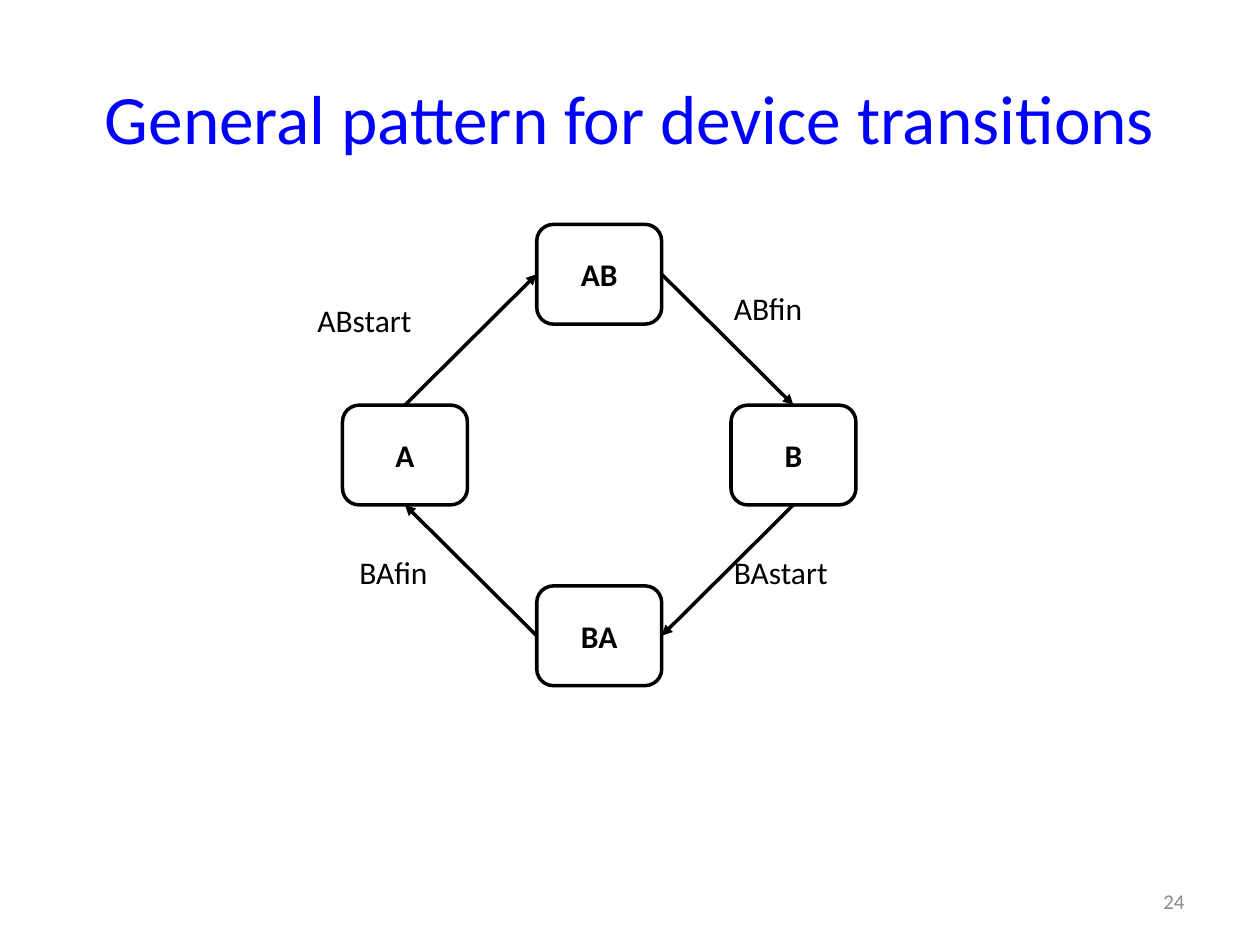
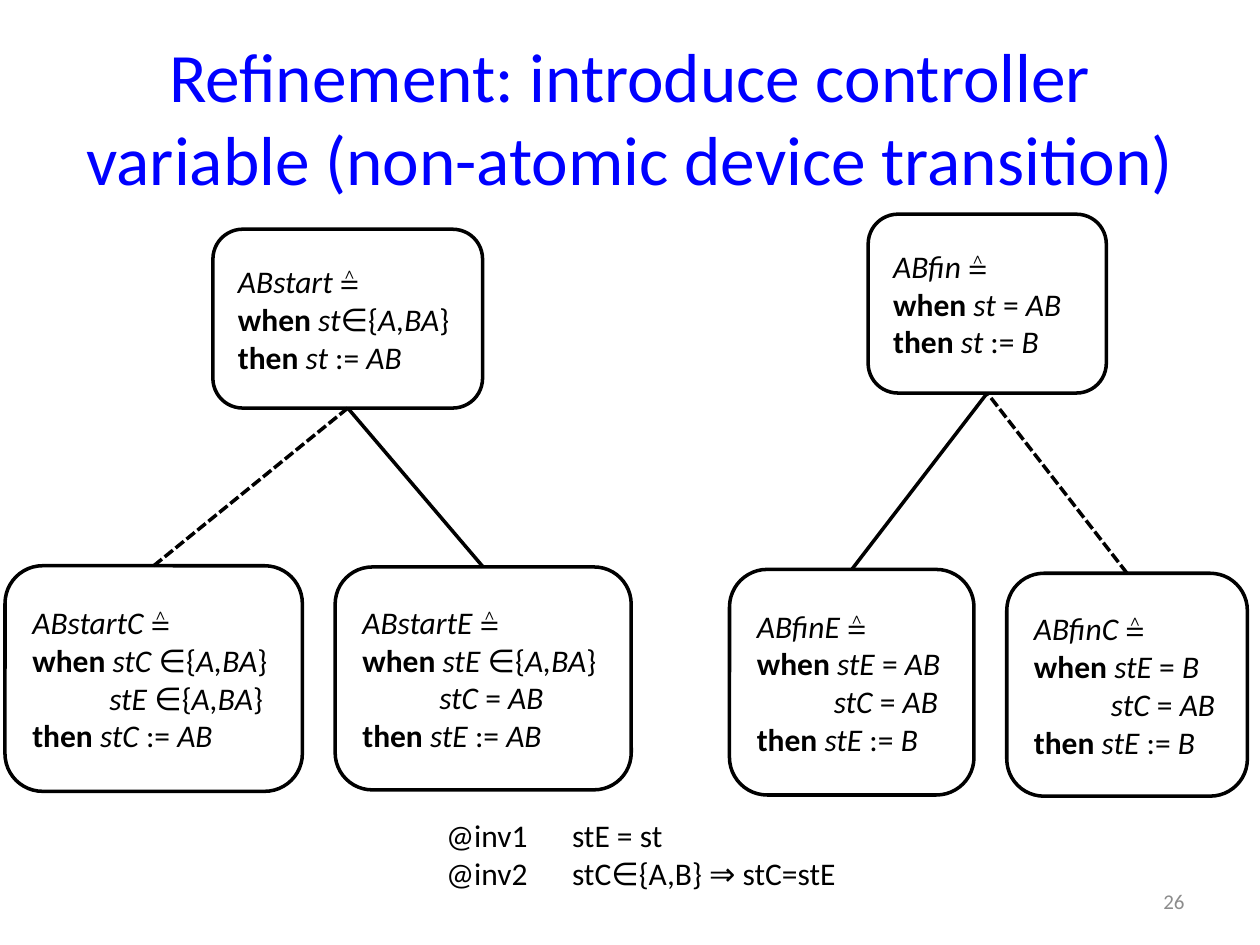
from dataclasses import dataclass
from itertools import groupby

from lxml import etree
from pptx import Presentation
from pptx.dml.color import RGBColor
from pptx.enum.dml import MSO_LINE
from pptx.enum.shapes import MSO_CONNECTOR, MSO_SHAPE
from pptx.enum.text import MSO_ANCHOR, PP_ALIGN
from pptx.oxml.ns import qn
from pptx.util import Pt

ROUNDED = MSO_SHAPE.ROUNDED_RECTANGLE
STRAIGHT = MSO_CONNECTOR.STRAIGHT
SHORT_DASH = MSO_LINE.SQUARE_DOT
LEFT, CENTER, RIGHT = PP_ALIGN.LEFT, PP_ALIGN.CENTER, PP_ALIGN.RIGHT
TOP, MIDDLE = MSO_ANCHOR.TOP, MSO_ANCHOR.MIDDLE

BLACK, WHITE, BLUE, GRAY = "000000", "FFFFFF", "0000FF", "8C8C8C"
FONT, SYMBOL_FONT = "Calibri", "Times New Roman"
BODY_SIZE, LINE_WIDTH = 18, 2
INSET_X, INSET_Y = 9.36, 5.04
CONDITION_INDENT = 44
KEYWORDS = ("when", "then")
SITE_TOP, SITE_LEFT, SITE_BOTTOM, SITE_RIGHT = range(4)


@dataclass(frozen=True)
class Area:
    left: float
    top: float
    width: float
    height: float

    def lengths(self) -> tuple:
        return Pt(self.left), Pt(self.top), Pt(self.width), Pt(self.height)


@dataclass(frozen=True)
class Label:
    text: str
    left: float
    top: float


@dataclass(frozen=True)
class Edge:
    start: str
    start_site: int
    end: str
    end_site: int
    arrow: bool = False
    dashed: bool = False


@dataclass(frozen=True)
class Event:
    name: str
    area: Area
    guards: tuple
    action: str


TITLE = Area(36, 21.6, 648, 90)
NUMBER = Area(516, 500.4, 168, 28.8)

# Slide 1: four states around a centre, clockwise from the left
CENTER_X, CENTER_Y = 342.4, 260
REACH_X, REACH_Y = 111, 103.3
STATE_WIDTH, STATE_HEIGHT = 71.4, 57
STATES = {"A": (-1, 0), "AB": (0, -1), "B": (1, 0), "BA": (0, 1)}
TRANSITIONS = (
    Edge("A", SITE_TOP, "AB", SITE_LEFT, arrow=True),
    Edge("AB", SITE_RIGHT, "B", SITE_TOP, arrow=True),
    Edge("B", SITE_BOTTOM, "BA", SITE_RIGHT, arrow=True),
    Edge("BA", SITE_LEFT, "A", SITE_BOTTOM, arrow=True),
)
TRANSITION_LABELS = (
    Label("ABstart", 172, 167),
    Label("BAfin", 196, 311),
    Label("ABfin", 410, 160),
    Label("BAstart", 410, 311),
)

# Slide 2: abstract events above the events that refine them
EVENTS = (
    Event("ABstart", Area(121.7, 131, 154.1, 102.2), ("st∈{A,BA}",), "st := AB"),
    Event("ABstartC", Area(2.9, 323.3, 169.9, 128.9),
          ("stC ∈{A,BA}", "stE ∈{A,BA}"), "stC := AB"),
    Event("ABstartE", Area(191.5, 324, 169.2, 127.4),
          ("stE ∈{A,BA}", "stC = AB"), "stE := AB"),
    Event("ABfin", Area(496.1, 122.4, 136.1, 102.2), ("st = AB",), "st := B"),
    Event("ABfinE", Area(416.9, 325.4, 139.7, 128.9),
          ("stE = AB", "stC = AB"), "stE := B"),
    Event("ABfinC", Area(575.3, 327.6, 137.5, 127.4),
          ("stE = B", "stC = AB"), "stE := B"),
)
REFINEMENTS = (
    Edge("ABstartC", SITE_TOP, "ABstart", SITE_BOTTOM, dashed=True),
    Edge("ABstart", SITE_BOTTOM, "ABstartE", SITE_TOP),
    Edge("ABfinC", SITE_TOP, "ABfin", SITE_BOTTOM, dashed=True),
    Edge("ABfin", SITE_BOTTOM, "ABfinE", SITE_TOP),
)
INVARIANTS = "@inv1\tstE = st\n@inv2\tstC∈{A,B} ⇒ stC=stE"
INVARIANTS_AREA = Area(245.5, 461.5, 250, 53.3)


def color(value: str) -> RGBColor:
    return RGBColor.from_string(value)


def style(font, size: float = BODY_SIZE, ink: str = BLACK, name: str = FONT) -> None:
    font.size, font.name = Pt(size), name
    font.color.rgb = color(ink)


def set_insets(text_frame) -> None:
    text_frame.margin_left = text_frame.margin_right = Pt(INSET_X)
    text_frame.margin_top = text_frame.margin_bottom = Pt(INSET_Y)


def add_text(slide, area: Area, text: str, size: float = BODY_SIZE,
             ink: str = BLACK, align=LEFT, anchor=TOP):
    text_frame = slide.shapes.add_textbox(*area.lengths()).text_frame
    text_frame.word_wrap = True
    text_frame.vertical_anchor = anchor
    text_frame.text = text
    for paragraph in text_frame.paragraphs:
        paragraph.alignment = align
        for run in paragraph.runs:
            style(run.font, size, ink)
    return text_frame


def add_slide(presentation, title: str, number: int):
    slide = presentation.slides.add_slide(presentation.slide_layouts[6])
    add_text(slide, TITLE, title, 39.6, BLUE, CENTER, MIDDLE)
    add_text(slide, NUMBER, str(number), 12, GRAY, RIGHT, MIDDLE)
    return slide


def add_box(slide, area: Area):
    shape = slide.shapes.add_shape(ROUNDED, *area.lengths())
    shape.shadow.inherit = False
    shape.fill.solid()
    shape.fill.fore_color.rgb = color(WHITE)
    shape.line.color.rgb = color(BLACK)
    shape.line.width = Pt(LINE_WIDTH)
    shape.text_frame.vertical_anchor = MIDDLE
    shape.text_frame.word_wrap = True
    set_insets(shape.text_frame)
    return shape


def add_edge(slide, boxes: dict, edge: Edge) -> None:
    connector = slide.shapes.add_connector(STRAIGHT, 0, 0, 0, 0)
    connector.begin_connect(boxes[edge.start], edge.start_site)
    connector.end_connect(boxes[edge.end], edge.end_site)
    line = connector.line
    line.color.rgb = color(BLACK)
    line.width = Pt(LINE_WIDTH)
    if edge.dashed:
        line.dash_style = SHORT_DASH
    properties = connector._element.spPr
    if edge.arrow:
        outline = properties.find(qn("a:ln"))
        etree.SubElement(outline, qn("a:tailEnd"), type="triangle")
    etree.SubElement(properties, qn("a:effectLst"))


def add_formula(paragraph, formula: str) -> None:
    """Set keywords bold, identifiers italic and operators upright."""
    for is_word, letters in groupby(formula, lambda c: c.isalnum() or c == ","):
        run = paragraph.add_run()
        run.text = "".join(letters)
        style(run.font, name=SYMBOL_FONT if "≙" in run.text else FONT)
        run.font.bold = run.text in KEYWORDS
        run.font.italic = is_word and not run.font.bold


def add_event(slide, event: Event):
    shape = add_box(slide, event.area)
    first_guard, *more_guards = event.guards
    lines = [f"{event.name} ≙", f"when {first_guard}", *more_guards,
             f"then {event.action}"]
    text_frame = shape.text_frame
    for index, line in enumerate(lines):
        paragraph = text_frame.add_paragraph() if index else text_frame.paragraphs[0]
        paragraph.alignment = LEFT
        if line in more_guards:
            paragraph._p.get_or_add_pPr().set("marL", str(Pt(CONDITION_INDENT)))
        add_formula(paragraph, line)
    return shape


def add_state(slide, name: str, column: int, row: int):
    shape = add_box(slide, Area(CENTER_X + column * REACH_X - STATE_WIDTH / 2,
                                CENTER_Y + row * REACH_Y - STATE_HEIGHT / 2,
                                STATE_WIDTH, STATE_HEIGHT))
    shape.text_frame.text = name
    paragraph = shape.text_frame.paragraphs[0]
    paragraph.alignment = CENTER
    style(paragraph.runs[0].font)
    paragraph.runs[0].font.bold = True
    return shape


def build_transitions(presentation) -> None:
    slide = add_slide(presentation, "General pattern for device transitions", 24)
    boxes = {name: add_state(slide, name, *place) for name, place in STATES.items()}
    for edge in TRANSITIONS:
        add_edge(slide, boxes, edge)
    for label in TRANSITION_LABELS:
        set_insets(add_text(slide, Area(label.left, label.top, 103, 39), label.text))


def build_refinement(presentation) -> None:
    slide = add_slide(presentation, "Refinement: introduce controller variable "
                      "(non-atomic device transition)", 26)
    boxes = {event.name: add_event(slide, event) for event in EVENTS}
    for edge in REFINEMENTS:
        add_edge(slide, boxes, edge)
    set_insets(add_text(slide, INVARIANTS_AREA, INVARIANTS))


def main() -> None:
    presentation = Presentation()
    presentation.slide_width, presentation.slide_height = Pt(720), Pt(540)
    build_transitions(presentation)
    build_refinement(presentation)
    presentation.save("out.pptx")


if __name__ == "__main__":
    main()
